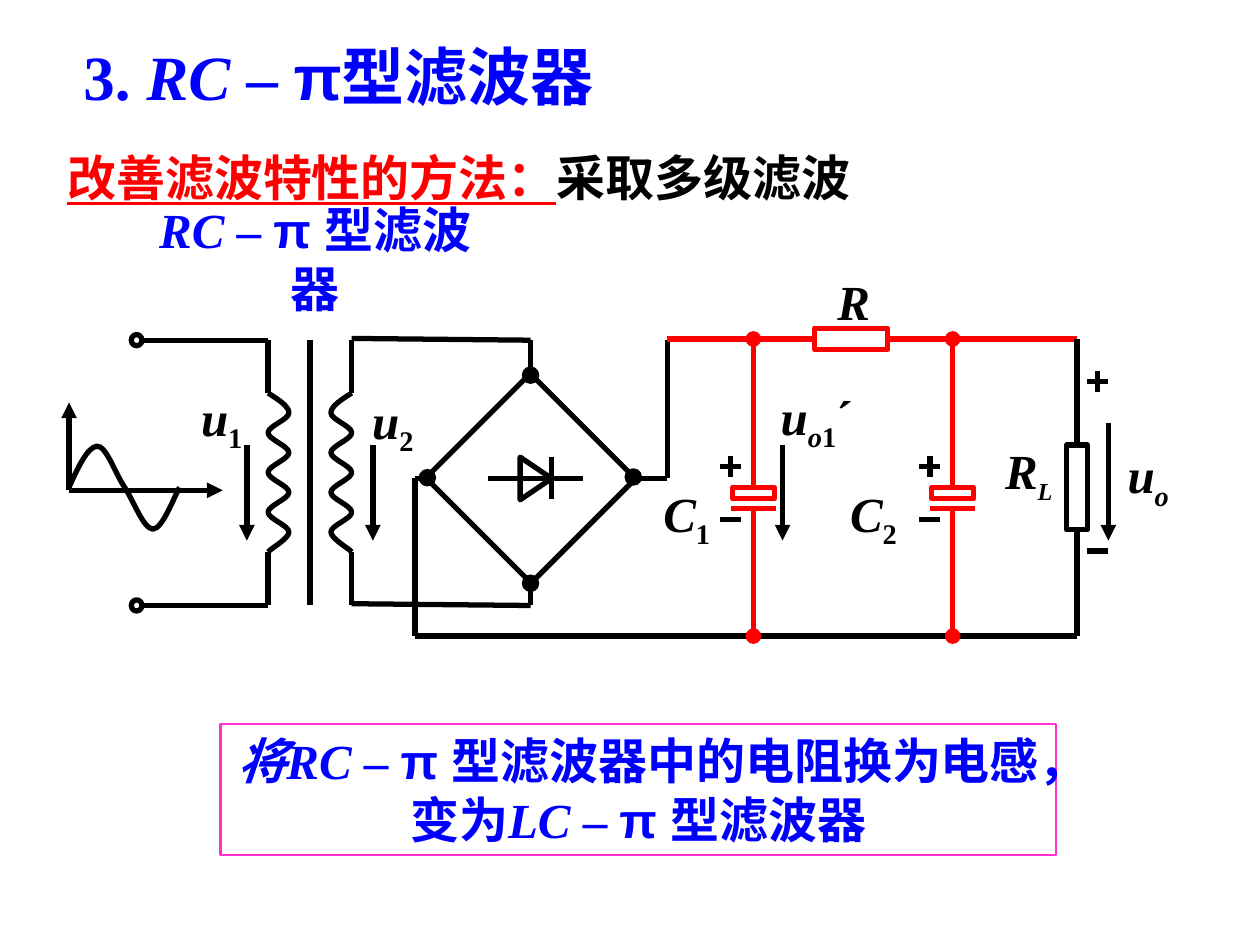
from lxml import etree
from pptx import Presentation
from pptx import util as u
from pptx.dml.color import RGBColor
from pptx.enum import shapes, text
from pptx.oxml.ns import qn

BLACK, RED, BLUE, PINK = "000000", "FF0000", "0000FF", "FF33CC"
TOP, BOTTOM = 193.7, 363.5          # rails of the filter
PRIMARY, SECONDARY = 153.2, 201     # inner leads of the transformer
COIL_TOP, COIL_BOTTOM = 224.6, 315.4
LOAD = 615.4                        # centre line of the load resistor
BRIDGE = 303.2                      # centre line of the rectifier
OUTLET = 381.4                      # riser from the rectifier to the top rail
RETURN = 237.2                      # drop from the rectifier to the bottom rail
MIDDLE = 273.4                      # height of the rectifier's centre
UPPER, LOWER = 194.4, 346           # ends of the windings

ITALIC, ARIAL, SUB = {"italic": True}, {"font": "Arial"}, {"sub": True}
SUB_ITALIC = {"sub": True, "italic": True}


def colour(code):
    return RGBColor.from_string(code)


def set_line(shape, code, width=3):
    shape.line.color.rgb = colour(code)
    shape.line.width = u.Pt(width)


def add_wire(page, x1, y1, x2, y2, code=BLACK, tail=None, start=None, end=None):
    """Draw a line; start and end are (shape, side) pairs to join."""
    wire = page.shapes.add_connector(
        shapes.MSO_CONNECTOR.STRAIGHT, u.Pt(x1), u.Pt(y1), u.Pt(x2), u.Pt(y2))
    if start:
        wire.begin_connect(*start)
    if end:
        wire.end_connect(*end)
    set_line(wire, code)
    if tail:
        etree.SubElement(wire.line._get_or_add_ln(), qn("a:tailEnd"), type=tail)
    etree.SubElement(wire._element.spPr, qn("a:effectLst"))


def add_figure(page, kind, x, y, width, height, code=BLACK, fill=None, weight=3, turn=0):
    figure = page.shapes.add_shape(kind, u.Pt(x), u.Pt(y), u.Pt(width), u.Pt(height))
    figure.shadow.inherit = False
    figure.rotation = turn
    if fill:
        figure.fill.solid()
        figure.fill.fore_color.rgb = colour(fill)
    else:
        figure.fill.background()
    set_line(figure, code, weight)
    return figure


def add_curve(page, start, segments):
    """Draw cubic segments, each (control, control, end)."""
    def fine(point):
        return tuple(round(value * 100) for value in point)

    builder = page.shapes.build_freeform(*fine(start), scale=u.Pt(1) / 100)
    builder.add_line_segments(
        [fine(point) for segment in segments for point in segment], close=False)
    curve = builder.convert_to_shape()
    outline = next(curve._element.iter(qn("a:path")))
    sides = outline.findall(qn("a:lnTo"))
    for index in range(0, len(sides), 3):
        bend = etree.SubElement(outline, qn("a:cubicBezTo"))
        for side in sides[index:index + 3]:
            bend.append(side[0])
            outline.remove(side)
    curve.shadow.inherit = False
    curve.fill.background()
    set_line(curve, BLACK)


def write(shape, spans, size=28, code=BLACK, align=text.PP_ALIGN.LEFT,
          anchor=text.MSO_ANCHOR.TOP, wrap=True):
    """Fill a shape with one paragraph of (words, format) spans."""
    frame = shape.text_frame
    frame.auto_size = text.MSO_AUTO_SIZE.NONE
    frame.word_wrap = wrap
    frame.vertical_anchor = anchor
    frame.margin_left = frame.margin_right = u.Pt(7.2)
    frame.margin_top = frame.margin_bottom = u.Pt(3.6)
    para = frame.paragraphs[0]
    para.alignment = align
    for words, look in spans:
        span = para.add_run()
        span.text = words
        font = span.font
        font.name = look.get("font", "Times New Roman")
        font.size = u.Pt(look.get("size", size))
        font.bold = True
        font.italic = look.get("italic", False)
        font.underline = look.get("underline", False)
        font.color.rgb = colour(look.get("code", code))
        if look.get("sub"):
            span._r.get_or_add_rPr().set("baseline", "-25000")


def add_label(page, x, y, width, height, spans, **look):
    box = page.shapes.add_textbox(u.Pt(x), u.Pt(y), u.Pt(width), u.Pt(height))
    write(box, spans, **look)


def add_coil(page, x, bulge):
    """Draw a winding and its two leads; bulge is signed."""
    pitch = (COIL_BOTTOM - COIL_TOP) / 8
    segments = []
    for turn in range(8):
        y = COIL_TOP + turn * pitch
        near, far = (x, x + bulge) if turn % 2 == 0 else (x + bulge, x)
        first = x + bulge / 2 if turn == 0 else near
        second = x + bulge / 8 if turn == 7 else far
        segments.append(((first, y + pitch / 3), (second, y + pitch * 5 / 6 if turn == 7
                         else y + pitch * 2 / 3), (far, y + pitch)))
    add_curve(page, (x, COIL_TOP), segments)
    add_wire(page, x, UPPER, x, COIL_TOP)
    add_wire(page, x, LOWER, x, COIL_BOTTOM)


def add_plus(page, x, y):
    add_wire(page, x - 6, y, x + 6, y)
    add_wire(page, x, y - 6, x, y + 6)


def add_minus(page, x, y):
    add_wire(page, x - 6, y, x + 6, y)


def add_capacitor(page, x):
    plate = add_figure(page, shapes.MSO_SHAPE.RECTANGLE, x - 12, 278.6, 24, 6.5, RED)
    add_wire(page, x - 13, 290.7, x + 13, 290.7, RED)
    add_wire(page, x, 290.7, x, BOTTOM, RED, "oval")
    add_wire(page, x, 278.6, x, TOP, RED, "oval", start=(plate, 0))
    add_plus(page, x - 13, 266.5)
    add_minus(page, x - 13, 296.8)


def draw_source(page):
    add_wire(page, 39.5, 280.2, 39.5, 230, tail="triangle")
    add_wire(page, 39.5, 280.2, 127.3, 280.2, tail="triangle")
    add_curve(page, (39.2, 279), [
        ((44.6, 267), (50, 255.5), (55.4, 255)),
        ((60.6, 254.6), (65.6, 270), (70.9, 278)),
        ((76.3, 286), (81.8, 302), (87.3, 302.4)),
        ((93, 302.4), (99.8, 283), (102.6, 278.6))])


def draw_transformer(page):
    add_coil(page, PRIMARY, 11.9)
    add_coil(page, SECONDARY, -11.9)
    for y in (UPPER, LOWER):
        add_wire(page, 81.2, y, PRIMARY, y)
        add_figure(page, shapes.MSO_SHAPE.OVAL, 75, y - 3.2, 6.1, 6.4)
        add_wire(page, SECONDARY, y - 1, BRIDGE, y)
    add_wire(page, 177.1, UPPER, 177.1, LOWER)


def draw_rectifier(page):
    add_wire(page, BRIDGE, 334, BRIDGE, LOWER)
    add_wire(page, BRIDGE, UPPER, BRIDGE, 212.4)
    add_figure(page, shapes.MSO_SHAPE.RECTANGLE, 260.7, 231.1, 85, 84.4, turn=45)
    add_wire(page, 279, MIDDLE, 333.2, MIDDLE)
    add_wire(page, 315.2, 261.2, 315.2, 285.4)
    add_figure(page, shapes.MSO_SHAPE.ISOSCELES_TRIANGLE, 294, 264.4, 24.4, 18, turn=90)
    add_wire(page, 243.5, MIDDLE, RETURN, MIDDLE)
    add_wire(page, RETURN, MIDDLE, RETURN, BOTTOM)
    add_wire(page, 362.7, MIDDLE, OUTLET, MIDDLE)
    add_wire(page, OUTLET, MIDDLE, OUTLET, UPPER)


def draw_filter(page):
    resistor = add_figure(page, shapes.MSO_SHAPE.RECTANGLE, 465.4, 187.6, 42, 12.2, RED)
    load = add_figure(page, shapes.MSO_SHAPE.RECTANGLE, LOAD - 6, 254.3, 12, 48.5)
    add_wire(page, RETURN, BOTTOM, LOAD, BOTTOM)
    add_wire(page, LOAD, TOP, 507.4, TOP, RED, end=(resistor, 3))
    add_wire(page, OUTLET, TOP, 465.4, TOP, RED, end=(resistor, 1))
    add_wire(page, LOAD, 254.3, LOAD, TOP, start=(load, 0))
    add_wire(page, LOAD, 302.8, LOAD, BOTTOM, start=(load, 2))
    for x in (430.5, 544.4):
        add_capacitor(page, x)
    add_plus(page, 627.3, 217.9)
    add_minus(page, 627.3, 314.8)


def main():
    deck = Presentation()
    deck.slide_width, deck.slide_height = u.Pt(720), u.Pt(540)
    page = deck.slides.add_slide(deck.slide_layouts[5])
    middle, centre = text.MSO_ANCHOR.MIDDLE, text.PP_ALIGN.CENTER

    title = page.shapes.title
    title.left, title.top, title.width, title.height = map(u.Pt, (40.5, 18, 340.5, 49.8))
    write(title, [("3. ", {}), ("RC ", ITALIC), ("– ", {}), ("π", ARIAL), ("型滤波器", {})],
          size=36, code=BLUE, anchor=middle)
    add_label(page, 31.4, 80.4, 476.6, 41.2,
              [("改善滤波特性的方法：", {"code": RED, "underline": True}), ("采取多级滤波", {})],
              anchor=middle)

    draw_source(page)
    draw_transformer(page)
    draw_rectifier(page)
    draw_filter(page)
    for x, y in ((141.1, 254.2), (213.1, 254.2), (447.2, 254.2), (633.4, 242)):
        add_wire(page, x, y, x, 308.9, tail="triangle")
    for x, y in ((BRIDGE, 214.4), (361.9, 272.6), (244.2, 273), (BRIDGE, 333.3)):
        add_figure(page, shapes.MSO_SHAPE.OVAL, x - 4.5, y - 4.5, 9, 9, fill=BLACK, weight=1)

    for x, y, width, letter, tail in (
            (107.8, 217.9, 66, "u", [("1", SUB)]),
            (205.6, 219.5, 75, "u", [("2", SUB)]),
            (439, 217.4, 73, "u", [("o", SUB_ITALIC), ("1", SUB), ("´", {})]),
            (637.2, 250.7, 65, "u", [("o", SUB_ITALIC)]),
            (372, 272.8, 56, "C", [("1", SUB)]),
            (478.7, 272.8, 73, "C", [("2", SUB)]),
            (567.2, 248.4, 49, "R", [("L", {**SUB_ITALIC, "size": 24})]),
            (471.4, 151.4, 33, "R", [])):
        add_label(page, x, y, width, 45, [(letter, ITALIC)] + tail, wrap=False)

    add_label(page, 70, 127, 220.3, 41.2,
              [("RC ", ITALIC), ("– ", {}), ("π ", ARIAL), ("型滤波器", {})],
              code=BLUE, align=centre, anchor=middle)
    note = add_figure(page, shapes.MSO_SHAPE.RECTANGLE, 126, 413.7, 477.4, 74.9, PINK, weight=1.5)
    write(note, [("将RC ", ITALIC), ("– ", {}), ("π ", ARIAL),
                 ("型滤波器中的电阻换为电感，变为", {}),
                 ("LC ", ITALIC), ("– ", {}), ("π ", ARIAL), ("型滤波器", {})],
          code=BLUE, align=centre, anchor=middle)
    deck.save("out.pptx")


if __name__ == "__main__":
    main()
